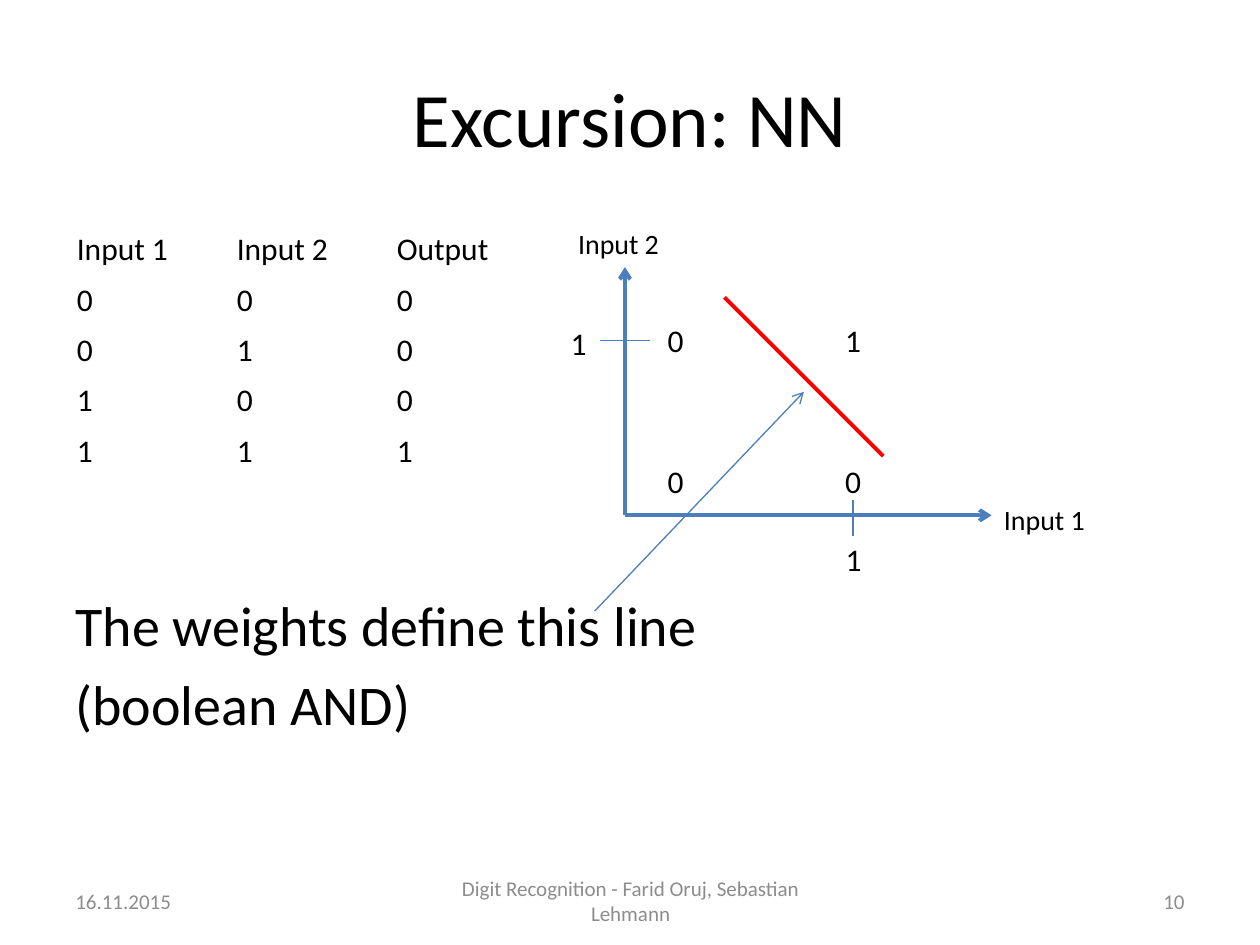
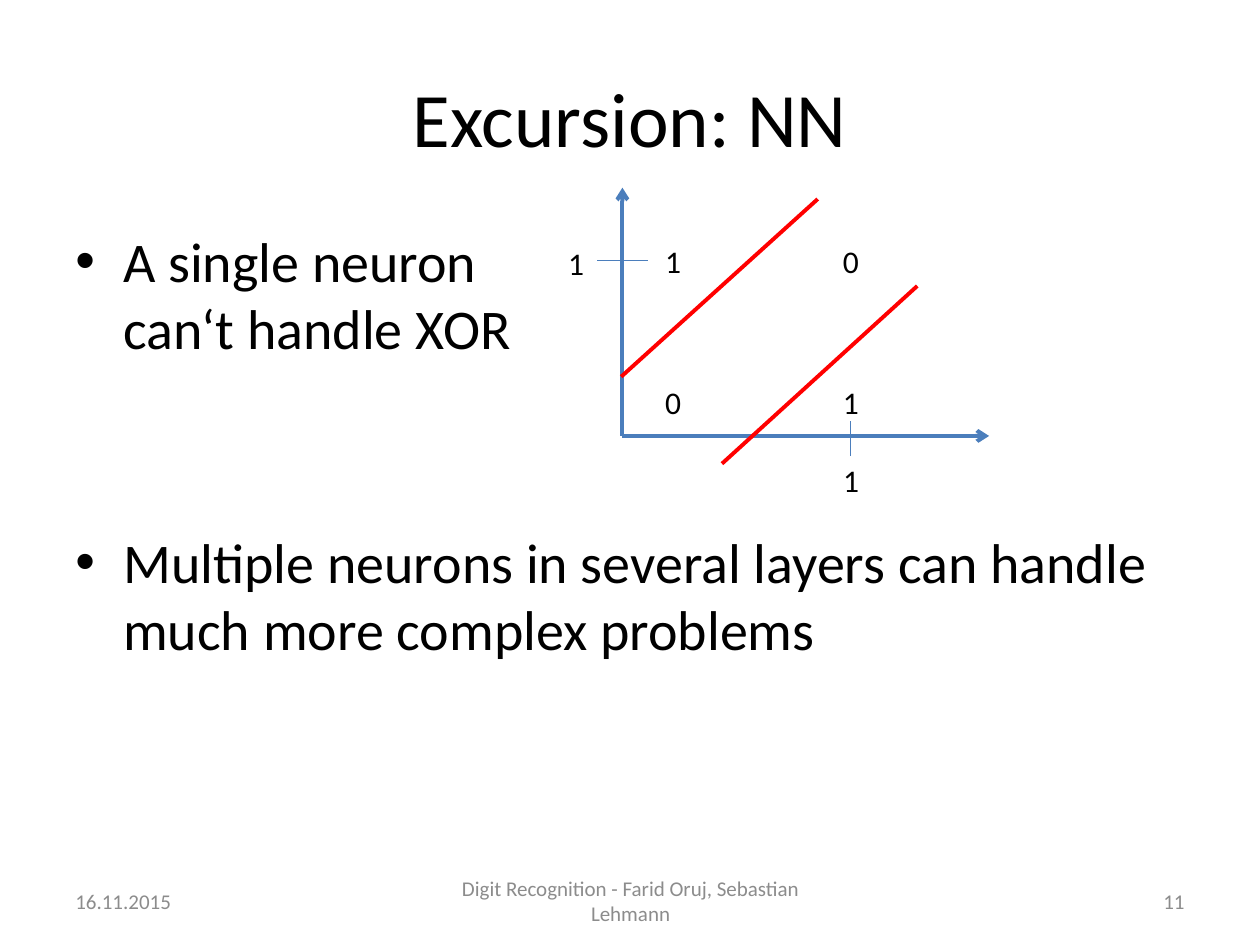
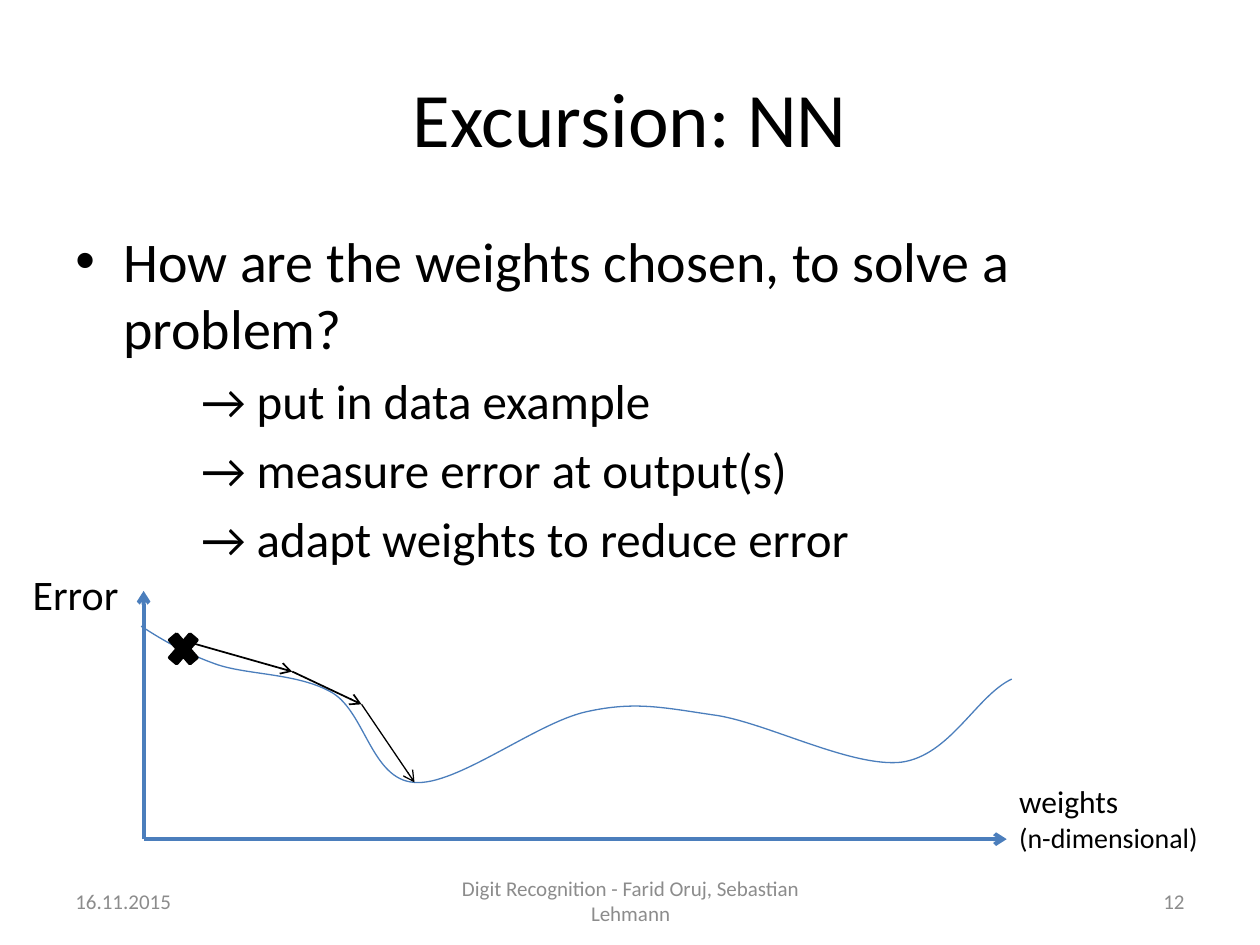
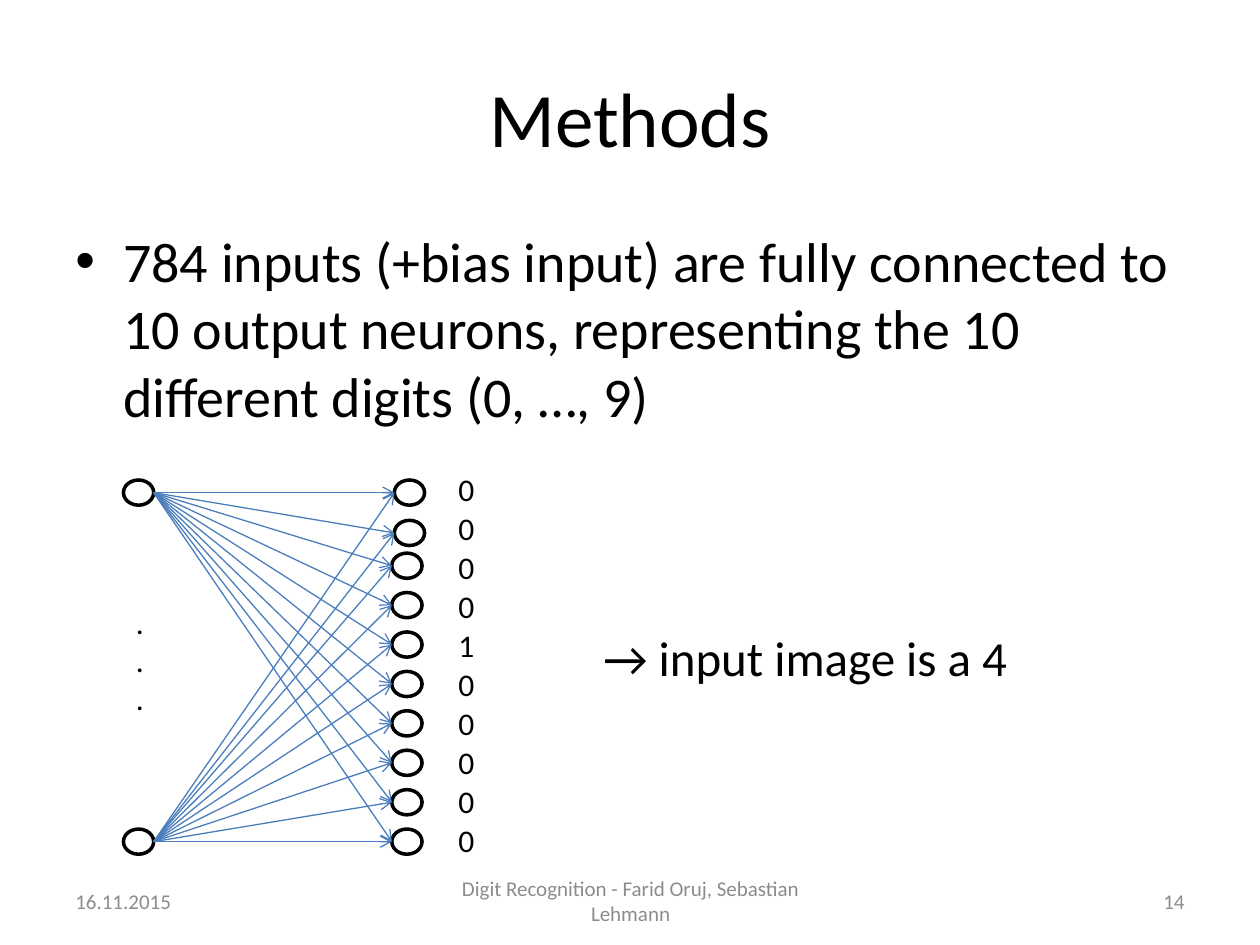
from lxml.etree import SubElement
from pptx import Presentation
from pptx.dml.color import RGBColor
from pptx.enum.shapes import MSO_CONNECTOR, MSO_SHAPE
from pptx.enum.text import MSO_ANCHOR, PP_ALIGN
from pptx.oxml.ns import qn
from pptx.util import Inches, Pt

FONT = "Calibri"
BLACK = RGBColor(0x00, 0x00, 0x00)
GREY = RGBColor(0x8C, 0x8C, 0x8C)
BLUE = RGBColor(0x4B, 0x7E, 0xBC)
RED = RGBColor(0xFF, 0x00, 0x00)

TITLE_ONLY = 5
DATE = "16.11.2015"
FOOTER = "Digit Recognition - Farid Oruj, Sebastian Lehmann"
AXIS_HEIGHT = 1.97
BODY_BOX = (0.5, 1.75, 9, 4.95)


def style_paragraph(paragraph, size, color=BLACK, align=PP_ALIGN.LEFT):
    """Apply the shared font to a paragraph."""
    paragraph.alignment = align
    paragraph.font.name = FONT
    paragraph.font.size = Pt(size)
    paragraph.font.bold = False
    paragraph.font.color.rgb = color


def add_text(slide, box, lines, size=18, color=BLACK, align=PP_ALIGN.LEFT,
             anchor=MSO_ANCHOR.TOP):
    """Add a wrapped text box and return its paragraphs."""
    frame = slide.shapes.add_textbox(*map(Inches, box)).text_frame
    frame.word_wrap = True
    frame.vertical_anchor = anchor
    frame.text = "\n".join(lines)
    for paragraph in frame.paragraphs:
        style_paragraph(paragraph, size, color, align)
    return frame.paragraphs


def add_body(slide, lines, box=BODY_BOX):
    """Add body text with its spacing before each paragraph."""
    paragraphs = add_text(slide, box, lines, 32)
    for paragraph in paragraphs:
        paragraph.space_before = Pt(6.4)
    return paragraphs


def indent(paragraph, left, hanging=0):
    """Set the left margin and hanging indent of a paragraph."""
    properties = paragraph._p.get_or_add_pPr()
    properties.set("marL", str(Inches(left)))
    properties.set("indent", str(-Inches(hanging)))
    return properties


def add_bullet(paragraph):
    """Give a paragraph a hanging bullet."""
    properties = indent(paragraph, 0.38, 0.38)
    SubElement(properties, qn("a:buFont"), typeface="Arial")
    SubElement(properties, qn("a:buChar"), char="•")


def add_line(slide, start, end, color=BLUE, width=0.75, arrow=False):
    """Draw a straight line, optionally with an arrowhead at its end."""
    points = map(Inches, (*start, *end))
    connector = slide.shapes.add_connector(MSO_CONNECTOR.STRAIGHT, *points)
    connector.line.color.rgb = color
    connector.line.width = Pt(width)
    properties = connector._element.spPr
    if arrow:
        SubElement(properties.find(qn("a:ln")), qn("a:tailEnd"), type="arrow")
    SubElement(properties, qn("a:effectLst"))


def add_symbol(slide, kind, box, fill=None):
    """Add a preset shape with a black outline."""
    symbol = slide.shapes.add_shape(kind, *map(Inches, box))
    symbol.shadow.inherit = False
    if fill is None:
        symbol.fill.background()
    else:
        symbol.fill.solid()
        symbol.fill.fore_color.rgb = fill
    symbol.line.color.rgb = BLACK
    symbol.line.width = Pt(2)


def add_curve(slide, points):
    """Draw a Bézier curve from a start point and triples of control points."""
    start, *controls = [tuple(map(Inches, point)) for point in points]
    builder = slide.shapes.build_freeform(*start)
    builder.add_line_segments(controls, close=False)
    curve = builder.convert_to_shape()
    curve.shadow.inherit = False
    curve.fill.background()
    curve.line.color.rgb = BLUE
    curve.line.width = Pt(0.75)
    outline = curve._element.find(".//" + qn("a:path"))
    segments = outline.findall(qn("a:lnTo"))
    for first in range(0, len(segments), 3):
        bezier = SubElement(outline, qn("a:cubicBezTo"))
        for segment in segments[first:first + 3]:
            bezier.append(segment[0])
            outline.remove(segment)


def add_axes(slide, origin, width):
    """Draw two arrows from the origin."""
    x, y = origin
    for end in ((x, y - AXIS_HEIGHT), (x + width, y)):
        add_line(slide, origin, end, width=2.25, arrow=True)


def add_boolean_plot(slide, origin, outputs):
    """Plot the output of a boolean function for inputs 00, 10, 01 and 11."""
    x, y = origin
    add_axes(slide, origin, 2.91)
    for index, output in enumerate(outputs):
        row, column = divmod(index, 2)
        add_text(slide, (x + 0.24 + 1.41 * column, y - 0.47 - 1.12 * row, 0.55, 0.4),
                 [output])
    add_line(slide, (x - 0.2, y - 1.39), (x + 0.2, y - 1.39))
    add_line(slide, (x + 1.81, y + 0.16), (x + 1.81, y - 0.12))
    add_text(slide, (x - 0.53, y - 1.57, 0.55, 0.4), ["1"])
    add_text(slide, (x + 1.58, y + 0.15, 0.47, 0.4), ["1"], align=PP_ALIGN.CENTER)


def add_truth_table(slide, rows):
    """Add a plain table of inputs and outputs."""
    size = (3.81, 0.4 * len(rows))
    table = slide.shapes.add_table(len(rows), len(rows[0]),
                                   *map(Inches, (0.51, 1.78, *size))).table
    table.first_row = False
    table.horz_banding = False
    for row, values in enumerate(rows):
        for column, value in enumerate(values):
            cell = table.cell(row, column)
            cell.fill.background()
            cell.text = value
            style_paragraph(cell.text_frame.paragraphs[0], 18)


def add_slide(deck, title, number):
    """Add a slide with its title and footers."""
    slide = deck.slides.add_slide(deck.slide_layouts[TITLE_ONLY])
    heading = slide.shapes.title
    heading.left, heading.top, heading.width, heading.height = map(
        Inches, (0.5, 0.3, 9, 1.25))
    heading.text_frame.text = title
    heading.text_frame.vertical_anchor = MSO_ANCHOR.MIDDLE
    style_paragraph(heading.text_frame.paragraphs[0], 44, align=PP_ALIGN.CENTER)
    footers = (
        (0.5, 2.33, DATE, PP_ALIGN.LEFT),
        (3.42, 3.17, FOOTER, PP_ALIGN.CENTER),
        (7.17, 2.33, str(number), PP_ALIGN.RIGHT),
    )
    for left, width, text, align in footers:
        add_text(slide, (left, 6.95, width, 0.4), [text], 12, GREY, align,
                 MSO_ANCHOR.MIDDLE)
    return slide


def build_and_slide(deck):
    """Show boolean AND as a table and a separating line."""
    slide = add_slide(deck, "Excursion: NN", 10)
    add_truth_table(slide, [("Input 1", "Input 2", "Output"),
                            *("000", "010", "100", "111")])
    add_body(slide, ["The weights define this line", "(boolean AND)"],
             (0.5, 4.64, 9, 1.31))
    add_boolean_plot(slide, (4.96, 4.09), "0001")
    add_text(slide, (4.49, 1.75, 0.94, 0.37), ["Input 2"], 16)
    add_text(slide, (7.87, 3.94, 0.94, 0.37), ["Input 1"], 16)
    add_line(slide, (5.75, 2.36), (7.01, 3.62), RED, 2.25)
    add_line(slide, (4.72, 4.85), (6.38, 3.11), arrow=True)


def build_xor_slide(deck):
    """Show that XOR needs two separating lines."""
    slide = add_slide(deck, "Excursion: NN", 11)
    single, multiple = add_body(slide, [
        "A single neuron\vcan‘t handle XOR",
        "Multiple neurons in several layers can handle much more complex problems",
    ])
    add_bullet(single)
    multiple.space_before = Pt(95)
    add_bullet(multiple)
    add_boolean_plot(slide, (4.94, 3.46), "0110")
    for start, end in (((5.73, 3.68), (7.28, 2.27)), ((4.93, 2.99), (6.49, 1.58))):
        add_line(slide, start, end, RED, 2.25)


def build_training_slide(deck):
    """Show how the weights descend along the error curve."""
    slide = add_slide(deck, "Excursion: NN", 12)
    question, *steps = add_body(slide, [
        "How are the weights chosen, to solve a problem?",
        "→ put in data example",
        "→ measure error at output(s)",
        "→ adapt weights to reduce error",
    ])
    add_bullet(question)
    for step in steps:
        step.font.size = Pt(28)
        step.space_before = Pt(5.6)
        indent(step, 1)
    add_axes(slide, (1.14, 6.66), 6.85)
    add_text(slide, (0.16, 4.46, 1.48, 0.5), ["Error"], 24)
    weights = add_text(slide, (7.99, 6.16, 1.65, 0.67), ["weights", "(n-dimensional)"])
    weights[1].font.size = Pt(16)
    add_curve(slide, [
        (1.12, 4.97),
        (1.29, 5.08), (1.46, 5.18), (1.71, 5.27),
        (1.96, 5.36), (2.37, 5.34), (2.64, 5.5),
        (2.9, 5.66), (2.95, 6.19), (3.29, 6.21),
        (3.62, 6.24), (4.25, 5.74), (4.65, 5.65),
        (5.05, 5.56), (5.28, 5.62), (5.7, 5.68),
        (6.11, 5.75), (6.76, 6.09), (7.15, 6.05),
        (7.54, 6), (7.75, 5.52), (8.03, 5.39),
    ])
    add_symbol(slide, MSO_SHAPE.MATH_MULTIPLY, (1.3, 4.97, 0.31, 0.36), BLACK)
    descent = [(1.37, 5.06), (2.32, 5.33), (2.87, 5.59), (3.29, 6.21)]
    for start, end, width in zip(descent, descent[1:], (1, 1, 0.75)):
        add_line(slide, start, end, BLACK, width, arrow=True)


def build_network_slide(deck):
    """Show inputs fully connected to the ten digit neurons."""
    slide = add_slide(deck, "Methods", 14)
    [summary] = add_body(slide, [
        "784 inputs (+bias input) are fully connected to 10 output neurons, "
        "representing the 10 different digits (0, …, 9)"], (0.5, 1.75, 9, 1.93))
    add_bullet(summary)
    width, height = 0.24, 0.2
    inputs = [(0.98, 3.81), (0.98, 6.58)]
    outputs = [(3.13, 3.81), (3.13, 4.13)]
    outputs += [(3.11, 4.39 + 2.19 * step / 7) for step in range(8)]
    for neuron in inputs + outputs:
        add_symbol(slide, MSO_SHAPE.OVAL, (*neuron, width, height))
    add_text(slide, (0.98, 4.74, 0.24, 1.31), "...")
    for input_x, input_y in inputs:
        for output_x, output_y in outputs:
            add_line(slide, (input_x + width, input_y + height / 2),
                     (output_x, output_y + height / 2), arrow=True)
    for digit, value in enumerate("0000100000"):
        add_text(slide, (3.54, 3.68 + 0.31 * digit, 0.36, 0.4), [value])
    add_text(slide, (4.69, 4.93, 3.7, 0.57), ["→ input image is a 4"], 28)


def main():
    """Build the four slides and save them."""
    deck = Presentation()
    deck.slide_width, deck.slide_height = Inches(10), Inches(7.5)
    build_and_slide(deck)
    build_xor_slide(deck)
    build_training_slide(deck)
    build_network_slide(deck)
    deck.save("out.pptx")


if __name__ == "__main__":
    main()
